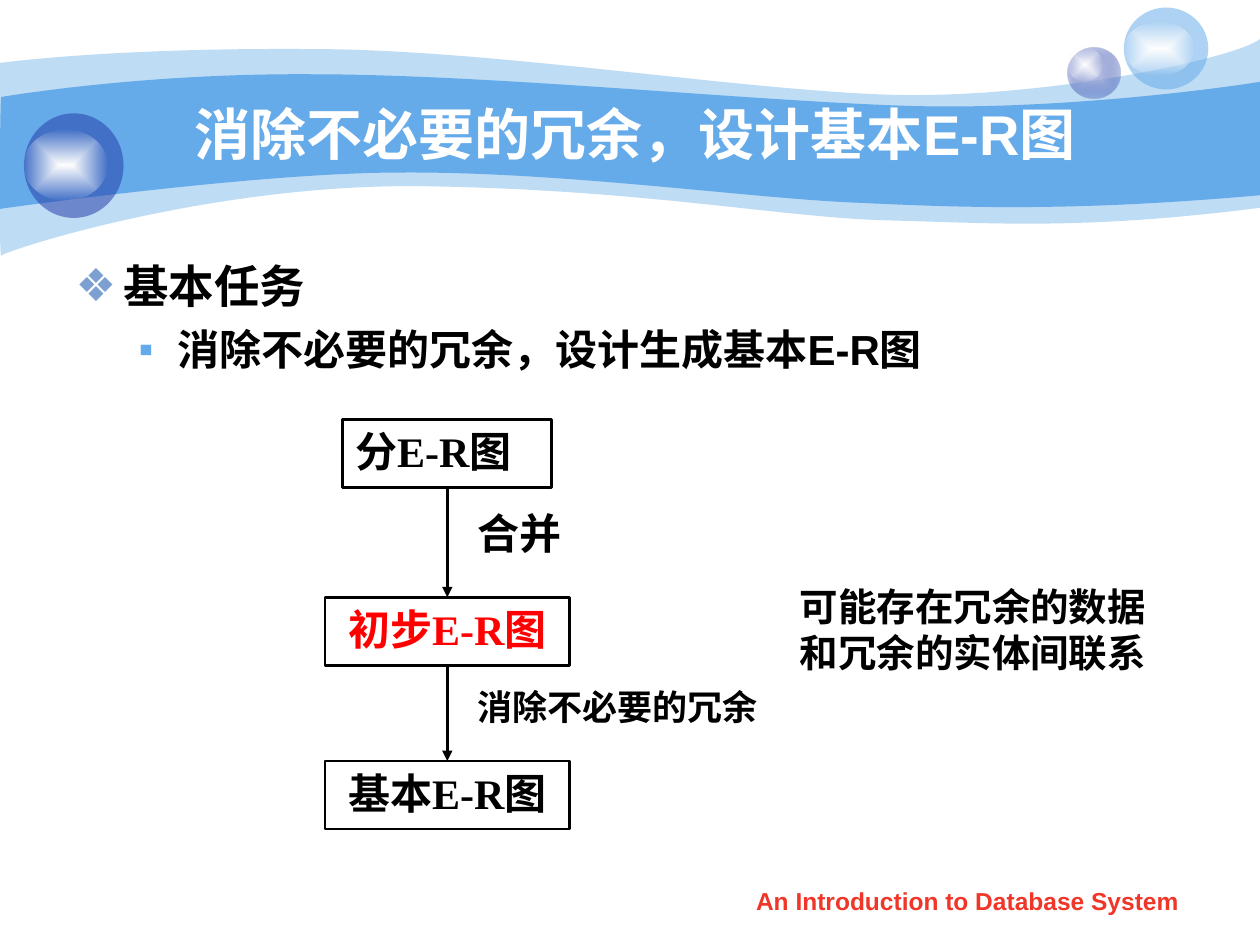
from dataclasses import dataclass
from typing import Optional

from lxml.etree import SubElement
from pptx import Presentation
from pptx.dml.color import RGBColor
from pptx.enum.shapes import MSO_CONNECTOR as Conn, MSO_SHAPE as Shape
from pptx.enum.text import MSO_ANCHOR as Anchor, PP_ALIGN as Align
from pptx.oxml import parse_xml
from pptx.oxml.ns import nsdecls, qn
from pptx.util import Inches, Pt


@dataclass(frozen=True)
class Theme:
    sans: str = "Arial"
    serif: str = "Times New Roman"
    black: str = "000000"
    white: str = "FFFFFF"
    red: str = "FF0000"
    footer: str = "F03628"
    sky: str = "65AAE9"
    navy: str = "233DA9"
    lilac: str = "C6CCE8"
    glow: str = "FEFEFE"
    bullet: str = "7DA0D3"
    title_pt: int = 32
    head_pt: int = 26
    text_pt: int = 24
    note_pt: int = 22
    small_pt: int = 20
    footer_pt: int = 14


T = Theme()


@dataclass(frozen=True)
class Wave:
    start: tuple
    top: list      # Bezier triples along the upper edge
    corner: tuple  # start of the lower edge
    bottom: list
    opacity: int


@dataclass(frozen=True)
class Ball:
    at: tuple
    opacity: int
    color: str
    glow: tuple
    inner: Optional[str] = None


@dataclass(frozen=True)
class Label:
    text: str
    at: tuple
    size: int
    color: str = T.black
    font: str = T.serif
    align: Align = Align.JUSTIFY
    boxed: bool = False


@dataclass(frozen=True)
class Bullet:
    text: str
    level: int
    mark: str
    color: str
    size: int
    margin: float
    hang: float
    before: float


WAVES = [
    Wave((0, 0.5),
         [((0.24, 0.47), (1.07, 0.38), (2.47, 0.39)),
          ((3.86, 0.39), (5.75, 0.7), (6.99, 0.75)),
          ((8.22, 0.8), (9.8, 0.47), (10, 0.31))],
         (10, 1.65),
         [((8.58, 1.83), (7.87, 1.77), (7.05, 1.75)),
          ((6.22, 1.73), (5.15, 1.51), (3.43, 1.48)),
          ((1.72, 1.44), (0.04, 1.99), (0.01, 2.03)),
          ((-0.01, 2.08), (0, 0.75), (0, 0.5))], 41),
    Wave((0.01, 0.77),
         [((0.02, 0.77), (1.1, 0.58), (2.48, 0.59)),
          ((3.86, 0.59), (5.95, 0.8), (7.18, 0.84)),
          ((8.41, 0.88), (9.76, 0.69), (10, 0.65))],
         (10, 1.55),
         [((8.53, 1.68), (7.65, 1.65), (6.82, 1.61)),
          ((5.99, 1.58), (4.47, 1.36), (3.17, 1.37)),
          ((2.03, 1.37), (-0.02, 1.66), (-0.01, 1.66)),
          ((0, 1.66), (0, 0.77), (0.01, 0.77))], 100),
]
BALLS = [
    Ball((8.47, 0.38, 0.42, 0.4), 31, T.navy, (8.47, 0.38, 0.28, 0.27), T.lilac),
    Ball((8.92, 0.06, 0.67, 0.65), 53, T.sky, (8.92, 0.17, 0.56, 0.43)),
    Ball((0.19, 0.9, 0.79, 0.83), 53, T.navy, (0.19, 1.03, 0.66, 0.56)),
]
BULLETS = [
    Bullet("基本任务", 0, "❖", T.bullet, T.head_pt, 0.38, 0.38, 0),
    Bullet("消除不必要的冗余，设计生成基本E-R图", 1, "▪", T.sky, T.text_pt, 0.81, 0.31, 6),
]
STEPS = [
    Label("分E-R图", (2.72, 3.33, 1.66, 0.54), T.text_pt, boxed=True),
    Label("初步E-R图", (2.58, 4.74, 1.94, 0.54), T.text_pt, T.red, align=Align.CENTER, boxed=True),
    Label("基本E-R图", (2.58, 6.04, 1.94, 0.54), T.text_pt, align=Align.CENTER, boxed=True),
]
NOTES = [
    Label("合并", (3.69, 3.98, 1.24, 0.43), T.text_pt),
    Label("消除不必要的冗余", (3.69, 5.39, 3.03, 0.54), T.small_pt),
    Label("可能存在冗余的数据\n和冗余的实体间联系", (6.25, 4.58, 3.25, 0.83), T.note_pt),
    Label("An Introduction to Database System", (5.71, 6.98, 3.94, 0.35),
          T.footer_pt, T.footer, T.sans, Align.CENTER),
]


def inches(at: tuple) -> list:
    return [Inches(v) for v in at]


def style(p, size: int, color: str, font: str) -> None:
    for r in p.runs:
        r.font.size, r.font.name, r.font.bold = Pt(size), font, True
        r.font.color.rgb = RGBColor.from_string(color)


def fill_solid(sp, color: str, opacity: int = 100) -> None:
    sp.shadow.inherit = False
    sp.line.fill.background()
    sp.fill.solid()
    sp.fill.fore_color.rgb = RGBColor.from_string(color)
    if opacity < 100:
        clr = sp._element.spPr.find(qn("a:solidFill"))[0]
        SubElement(clr, qn("a:alpha"), val=str(opacity * 1000))


def fill_glow(sp, inner: str, outer: str, opacity: int) -> None:
    fill_solid(sp, outer)
    solid = sp._element.spPr.find(qn("a:solidFill"))
    solid.getparent().replace(solid, parse_xml(
        f'<a:gradFill {nsdecls("a")}><a:gsLst>'
        f'<a:gs pos="0"><a:srgbClr val="{inner}"/></a:gs>'
        f'<a:gs pos="100000"><a:srgbClr val="{outer}"><a:alpha val="{opacity * 1000}"/></a:srgbClr></a:gs>'
        '</a:gsLst><a:path path="rect"><a:fillToRect l="50000" t="50000" r="50000" b="50000"/></a:path>'
        '</a:gradFill>'))


def bend(lines: list) -> None:
    """Merge each three line segments into one Bezier segment."""
    for i in range(0, len(lines), 3):
        cubic = lines[i].makeelement(qn("a:cubicBezTo"))
        lines[i].addprevious(cubic)
        for line in lines[i:i + 3]:
            cubic.append(line[0])
            line.getparent().remove(line)


def draw_wave(s, w: Wave) -> None:
    top, bottom = ([p for triple in edge for p in triple] for edge in (w.top, w.bottom))
    fb = s.shapes.build_freeform(*inches(w.start))
    fb.add_line_segments([inches(p) for p in top + [w.corner] + bottom])
    sp = fb.convert_to_shape()
    lines = list(sp._element.iter(qn("a:lnTo")))
    bend(lines[:len(top)])
    bend(lines[len(top) + 1:])
    fill_solid(sp, T.sky, w.opacity)


def draw_ball(s, b: Ball) -> None:
    sp = s.shapes.add_shape(Shape.OVAL, *inches(b.at))
    if b.inner:
        fill_glow(sp, b.inner, b.color, b.opacity)
    else:
        fill_solid(sp, b.color, b.opacity)
    fill_glow(s.shapes.add_shape(Shape.OVAL, *inches(b.glow)), T.white, T.glow, 0)


def draw_label(s, d: Label):
    if d.boxed:
        sp = s.shapes.add_shape(Shape.RECTANGLE, *inches(d.at))
        sp.shadow.inherit = False
        sp.fill.background()
        sp.line.color.rgb, sp.line.width = RGBColor.from_string(T.black), Pt(1.5)
    else:
        sp = s.shapes.add_textbox(*inches(d.at))
    tf = sp.text_frame
    tf.text = d.text
    tf.word_wrap, tf.vertical_anchor = d.align != Align.CENTER, Anchor.TOP
    for p in tf.paragraphs:
        p.alignment = d.align
        style(p, d.size, d.color, d.font)
    return sp


def draw_arrow(s, upper, lower) -> None:
    c = s.shapes.add_connector(Conn.STRAIGHT, 0, 0, 0, 0)
    c.begin_connect(upper, 2)
    c.end_connect(lower, 0)
    c.line.color.rgb, c.line.width = RGBColor.from_string(T.black), Pt(1.5)
    SubElement(c.line._get_or_add_ln(), qn("a:tailEnd"), type="triangle")
    SubElement(c._element.spPr, qn("a:effectLst"))


def place(s, sp, at: tuple) -> None:
    sp.left, sp.top, sp.width, sp.height = inches(at)
    s.shapes._spTree.append(sp._element)  # bring above the banner


def write_bullet(p, b: Bullet) -> None:
    p.text, p.level, p.space_before = b.text, b.level, Pt(b.before)
    pPr = p._p.get_or_add_pPr()
    pPr.set("marL", str(Inches(b.margin)))
    pPr.set("indent", str(-Inches(b.hang)))
    SubElement(SubElement(pPr, qn("a:buClr")), qn("a:srgbClr"), val=b.color)
    SubElement(pPr, qn("a:buChar"), char=b.mark)
    style(p, b.size, T.black, T.sans)


def main() -> None:
    prs = Presentation()
    prs.slide_width, prs.slide_height = Inches(10), Inches(7.5)
    s = prs.slides.add_slide(prs.slide_layouts[1])
    # Banner
    for w in WAVES:
        draw_wave(s, w)
    for b in BALLS:
        draw_ball(s, b)
    # Title and list
    title, body = s.placeholders
    place(s, title, (1, 0.75, 8.08, 0.62))
    tf = title.text_frame
    tf.text, tf.vertical_anchor = "消除不必要的冗余，设计基本E-R图", Anchor.MIDDLE
    tf.paragraphs[0].alignment = Align.CENTER
    style(tf.paragraphs[0], T.title_pt, T.white, T.sans)
    place(s, body, (0.5, 2, 9, 4.92))
    tf = body.text_frame
    for i, b in enumerate(BULLETS):
        write_bullet(tf.add_paragraph() if i else tf.paragraphs[0], b)
    # Flow of diagrams, notes and footer
    boxes = [draw_label(s, d) for d in STEPS]
    for upper, lower in zip(boxes, boxes[1:]):
        draw_arrow(s, upper, lower)
    for d in NOTES:
        draw_label(s, d)
    prs.save("out.pptx")


if __name__ == "__main__":
    main()
